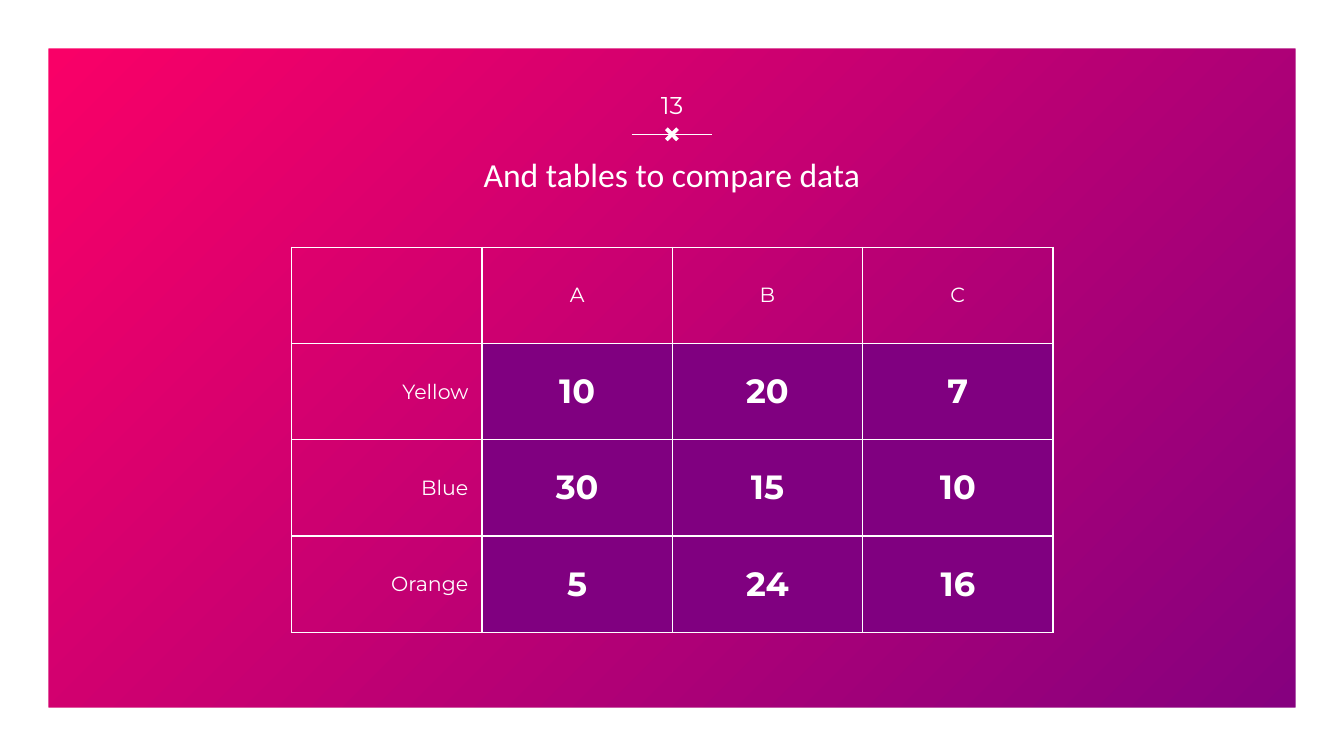
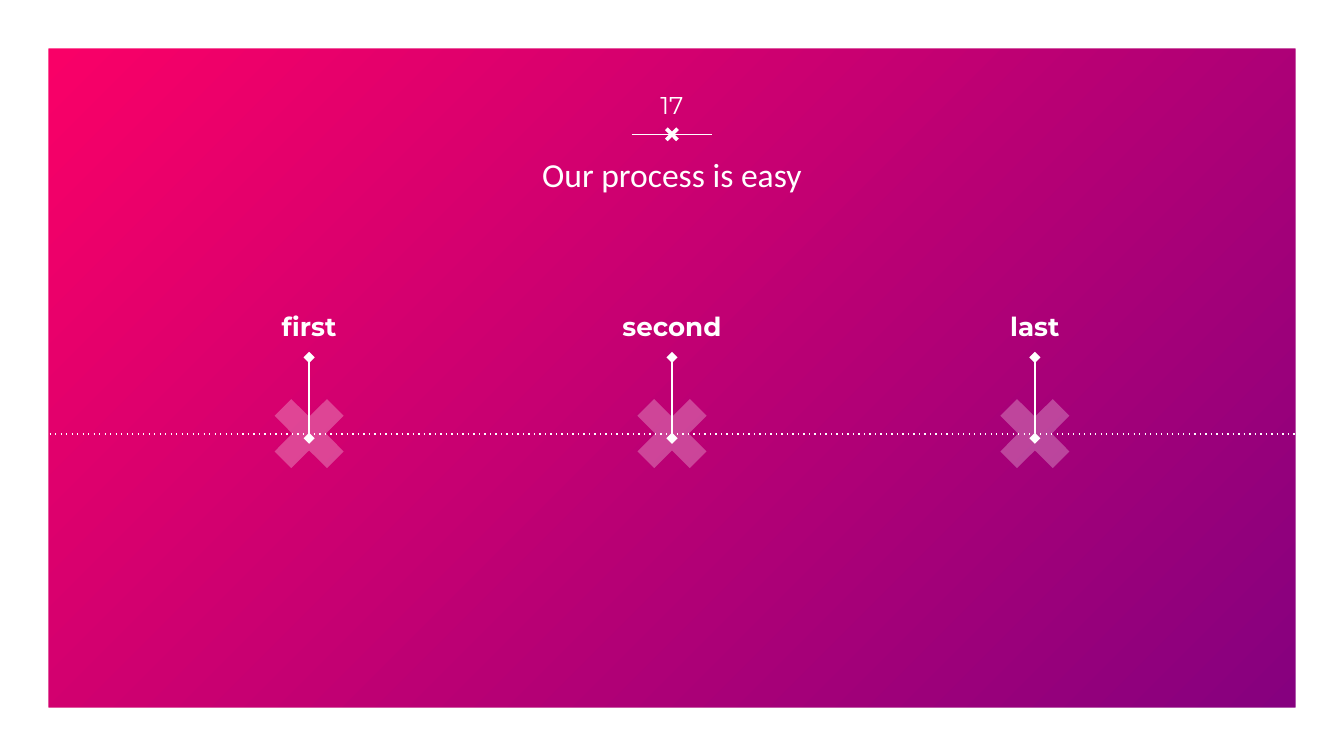
from pptx import Presentation
from pptx.dml.color import RGBColor
from pptx.enum import shapes, text
from pptx.oxml import ns, xmlchemy
from pptx.util import Pt

WHITE = RGBColor(0xFF, 0xFF, 0xFF)
PINK = RGBColor(0xFF, 0x00, 0x66)
PURPLE = RGBColor(0x80, 0x00, 0x80)

HEAD_FONT, BODY_FONT = "Calibri", "Montserrat"
W, H = 720, 405
LINE_W = 0.75
MIDDLE, TOP = text.MSO_ANCHOR.MIDDLE, text.MSO_ANCHOR.TOP
CENTER, RIGHT = text.PP_ALIGN.CENTER, text.PP_ALIGN.RIGHT


def add_child(parent, tag, **attrs):
    """Append a drawing element with the given attributes."""
    el = xmlchemy.OxmlElement(tag)
    for name, value in attrs.items():
        el.set(name, str(value))
    parent.append(el)
    return el


def write(tf, content, size=11, font=BODY_FONT, bold=False, align=CENTER):
    """Put one formatted line of white text into a text frame."""
    p = tf.paragraphs[0]
    p.alignment = align
    r = p.add_run()
    r.text = content
    f = r.font
    f.name, f.size, f.bold = font, Pt(size), bold
    f.color.rgb = WHITE


def add_text(slide, box, content, anchor=MIDDLE, **fmt):
    tf = slide.shapes.add_textbox(*map(Pt, box)).text_frame
    tf.word_wrap = True
    tf.vertical_anchor = anchor
    tf.margin_left = tf.margin_right = tf.margin_top = tf.margin_bottom = Pt(7.2)
    write(tf, content, **fmt)


def add_shape(slide, kind, box, adj, alpha=None):
    """Add a white preset shape; alpha is its opacity in percent."""
    sp = slide.shapes.add_shape(kind, *map(Pt, box))
    sp.shadow.inherit = False
    sp.adjustments[0] = adj
    sp.fill.solid()
    sp.fill.fore_color.rgb = WHITE
    sp.line.fill.background()
    if alpha is not None:
        color = sp.fill._xPr.find(".//" + ns.qn("a:srgbClr"))
        add_child(color, "a:alpha", val=alpha * 1000)


def add_cross(slide, cx, cy, size, adj, alpha=None):
    box = (cx - size / 2, cy - size / 2, size, size)
    add_shape(slide, shapes.MSO_SHAPE.MATH_MULTIPLY, box, adj, alpha)


def add_line(slide, x1, y1, x2, y2, dash=None, ends=None):
    c = slide.shapes.add_connector(
        shapes.MSO_CONNECTOR.STRAIGHT, *map(Pt, (x1, y1, x2, y2)))
    c.line.color.rgb = WHITE
    c.line.width = Pt(LINE_W)
    ln = c.line._get_or_add_ln()
    if dash:
        add_child(ln, "a:prstDash", val=dash)
    if ends:
        for tag in ("a:headEnd", "a:tailEnd"):
            add_child(ln, tag, type=ends, w="med", len="med")
    add_child(c._element.spPr, "a:effectLst")


def add_base(prs, number, title):
    """Blank slide with gradient, white frame, number, divider and title."""
    slide = prs.slides.add_slide(prs.slide_layouts[6])
    fill = slide.background.fill
    fill.gradient()
    fill.gradient_angle = 315
    for stop, color in zip(fill.gradient_stops, (PINK, PURPLE)):
        stop.color.rgb = color
    add_shape(slide, shapes.MSO_SHAPE.FRAME, (0, 0, W, H), 0.064)

    # Divider with a small cross
    cx, y, half = W / 2, 72, 21.6
    add_line(slide, cx - half, y, cx + half, y)
    add_cross(slide, cx, y, 11.5, 0.174)

    # Number above, title below
    add_text(slide, (cx - half, 40.5, 2 * half, 31), number, size=13)
    add_text(slide, (26, 78, W - 52, 31), title, size=18, font=HEAD_FONT)
    return slide


def style_cell(cell, fill=None):
    """White border on all sides and an optional solid fill."""
    tc_pr = cell._tc.get_or_add_tcPr()
    for side in "LRTB":
        ln = add_child(tc_pr, "a:ln" + side, w=int(Pt(LINE_W)))
        add_child(add_child(ln, "a:solidFill"), "a:srgbClr", val=WHITE)
    if fill is None:
        cell.fill.background()
    else:
        cell.fill.solid()
        cell.fill.fore_color.rgb = fill
    cell.vertical_anchor = MIDDLE
    cell.margin_left = cell.margin_right = Pt(7.2)
    cell.margin_top = cell.margin_bottom = Pt(5)


def add_data_table(slide, box, rows):
    x, y, w, h = box
    n_rows, n_cols = len(rows), len(rows[0])
    tbl = slide.shapes.add_table(n_rows, n_cols, *map(Pt, box)).table
    tbl.first_row = tbl.horz_banding = False
    for col in tbl.columns:
        col.width = Pt(w / n_cols)
    for row in tbl.rows:
        row.height = Pt(h / n_rows)
    for i, values in enumerate(rows):
        for j, value in enumerate(values):
            cell = tbl.cell(i, j)
            is_data = i > 0 and j > 0
            style_cell(cell, PURPLE if is_data else None)
            write(cell.text_frame, value, size=18 if is_data else 11,
                  bold=is_data, align=CENTER if j else RIGHT)


def add_process(slide, box, steps):
    """Timeline across the box: evenly spaced steps on a dotted line."""
    x, y, w, h = box
    axis = y + 73.3
    gap = 194.4
    first = x + w / 2 - gap * (len(steps) - 1) / 2
    centers = [first + gap * i for i in range(len(steps))]
    for cx in centers:
        add_cross(slide, cx, axis - 0.2, 54, 0.235, alpha=27)
    add_line(slide, x, axis, x + w, axis, dash="dot")
    for cx, label in zip(centers, steps):
        add_line(slide, cx, axis + 2.3, cx, y + h, ends="diamond")
        add_text(slide, (cx - 49, y, 98, h), label, anchor=TOP,
                 size=14, bold=True)


def main():
    prs = Presentation()
    prs.slide_width, prs.slide_height = Pt(W), Pt(H)

    # Comparison table
    slide = add_base(prs, "13", "And tables to compare data")
    add_data_table(slide, (156.2, 132.4, 408, 206.4), [
        ("", "A", "B", "C"),
        ("Yellow", "10", "20", "7"),
        ("Blue", "30", "15", "10"),
        ("Orange", "5", "24", "16"),
    ])

    # Process timeline
    slide = add_base(prs, "17", "Our process is easy")
    add_process(slide, (0, 159.2, W, 32.3), ["first", "second", "last"])

    prs.save("out.pptx")


if __name__ == "__main__":
    main()
